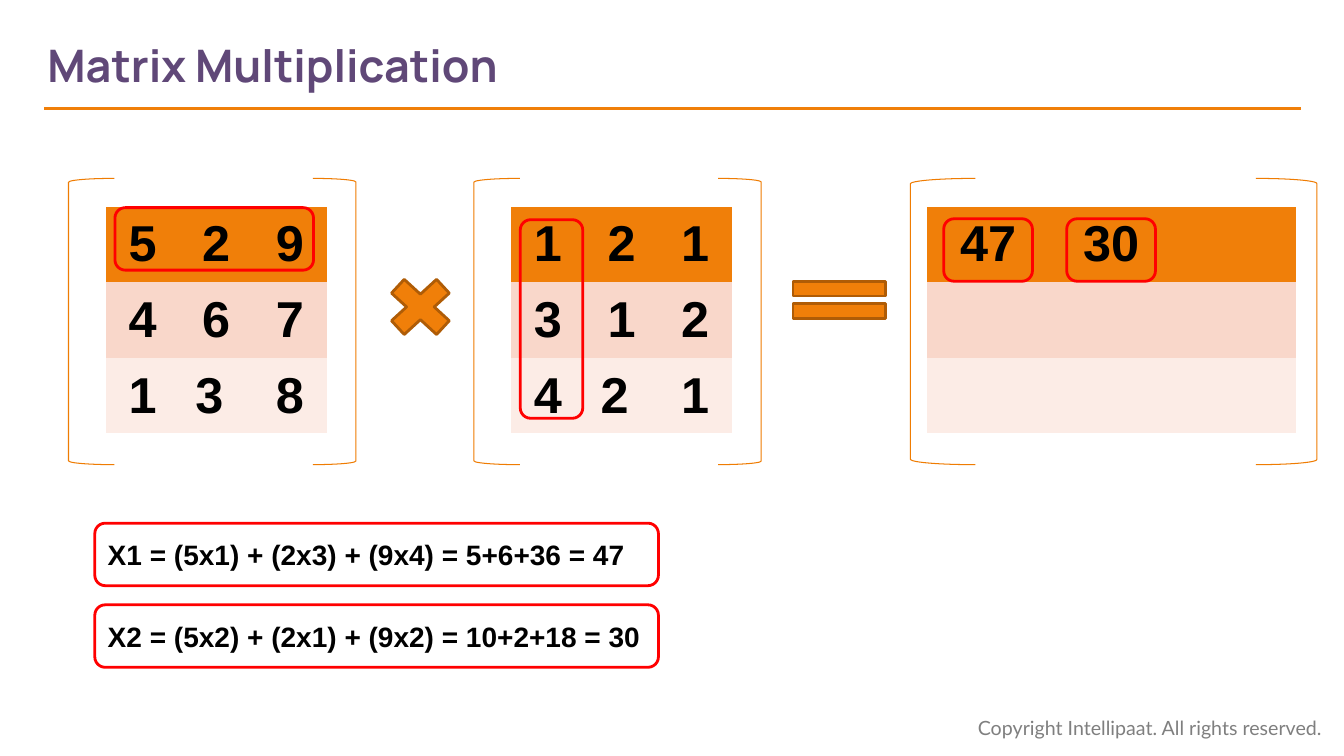
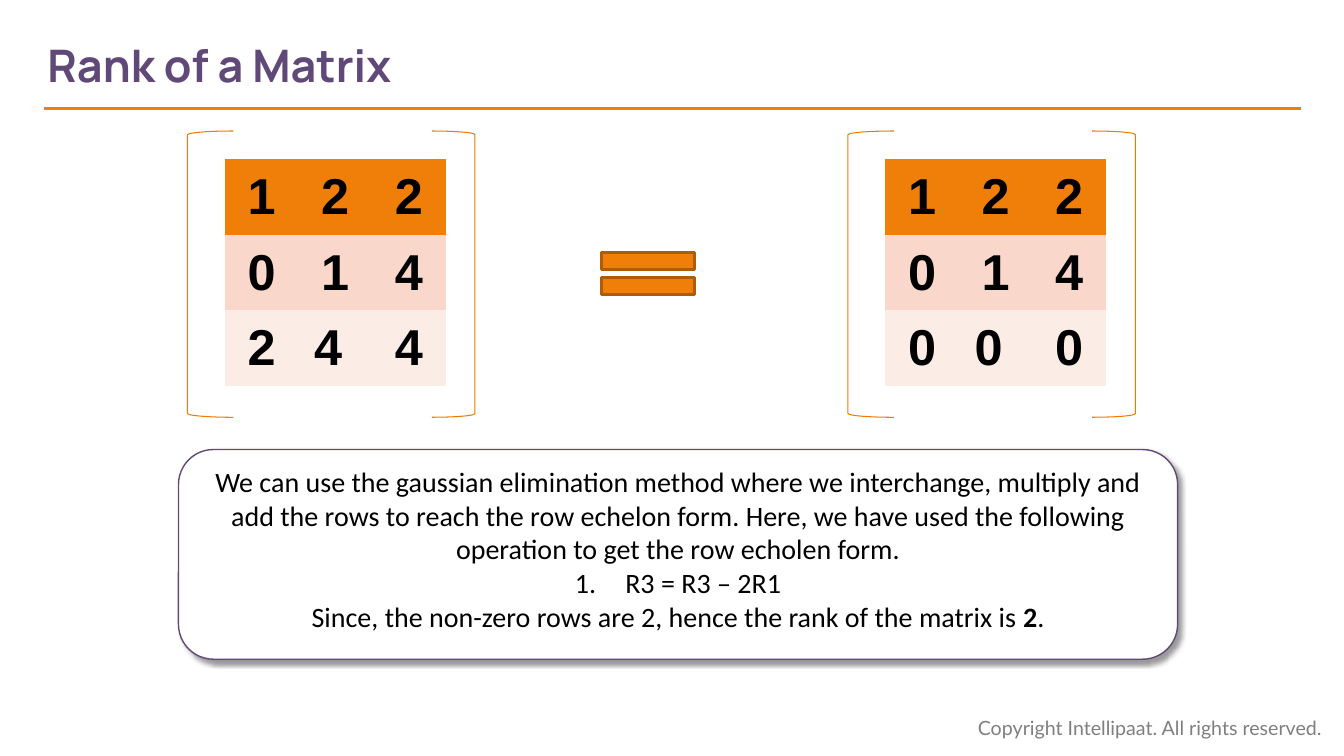
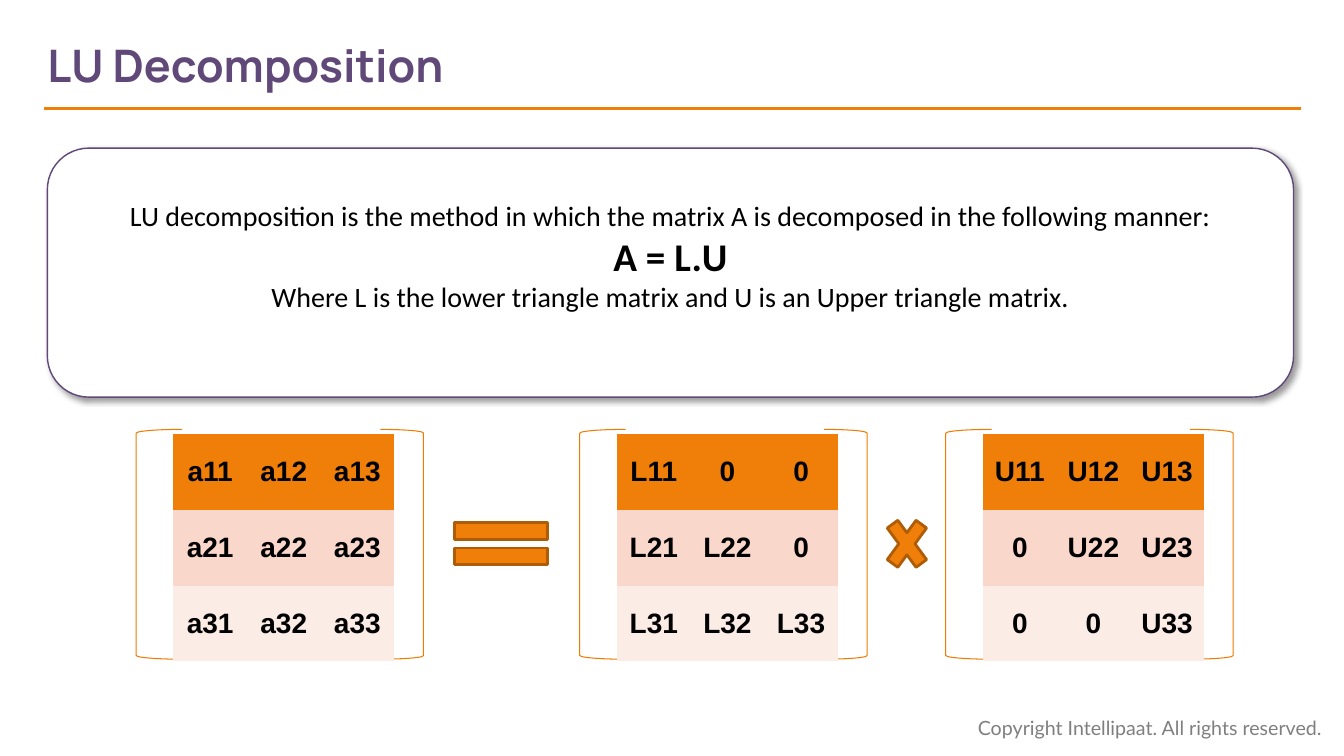
from lxml import etree
from pptx import Presentation
from pptx.dml.color import RGBColor
from pptx.enum.shapes import MSO_CONNECTOR, MSO_SHAPE
from pptx.enum.text import MSO_ANCHOR, MSO_AUTO_SIZE, PP_ALIGN
from pptx.oxml import parse_xml
from pptx.oxml.ns import nsdecls, qn
from pptx.util import Inches, Pt

ORANGE = RGBColor(0xF0, 0x7F, 0x09)
BRACKET_ORANGE = RGBColor(0xEF, 0x7C, 0x02)
DARK_ORANGE = RGBColor(0xAF, 0x5C, 0x06)
PINK = RGBColor(0xF9, 0xD7, 0xCA)
PALE_PINK = RGBColor(0xFC, 0xEC, 0xE6)
PURPLE = RGBColor(0x60, 0x48, 0x78)
RED = RGBColor(0xFF, 0x00, 0x00)
GREY = RGBColor(0x7F, 0x7F, 0x7F)
BLACK = RGBColor(0x00, 0x00, 0x00)
WHITE = RGBColor(0xFF, 0xFF, 0xFF)
ROW_FILLS = (ORANGE, PINK, PALE_PINK)

LEFT_BRACKET = MSO_SHAPE.LEFT_BRACKET
RIGHT_BRACKET = MSO_SHAPE.RIGHT_BRACKET
TIMES = MSO_SHAPE.MATH_MULTIPLY
EQUALS = MSO_SHAPE.MATH_EQUAL
HIGHLIGHT = MSO_SHAPE.FLOWCHART_ALTERNATE_PROCESS
ROUNDED = MSO_SHAPE.ROUNDED_RECTANGLE
STRAIGHT = MSO_CONNECTOR.STRAIGHT
TOP, MIDDLE = MSO_ANCHOR.TOP, MSO_ANCHOR.MIDDLE
LEFT, CENTER = PP_ALIGN.LEFT, PP_ALIGN.CENTER

TITLE_ONLY = 5
NO_TABLE_STYLE = "{2D5ABB26-0587-4C30-8999-92F81FD0307C}"
ROW_H = 0.75
MATRIX_W = 2.85


def inches(*lengths):
    return [Inches(n) for n in lengths]


def set_font(font, name, size, color, bold=False):
    font.name, font.size, font.bold = name, Pt(size), bold
    font.color.rgb = color


def add_shape(slide, kind, box, line, width, fill=None):
    sp = slide.shapes.add_shape(kind, *inches(*box))
    sp.shadow.inherit = False
    sp.line.color.rgb = line
    sp.line.width = Pt(width)
    if fill is None:
        sp.fill.background()
    else:
        sp.fill.solid()
        sp.fill.fore_color.rgb = fill
    return sp


def add_base(prs, title):
    slide = prs.slides.add_slide(prs.slide_layouts[TITLE_ONLY])
    sp = slide.shapes.title
    sp.left, sp.top, sp.width, sp.height = inches(0.47, 0.22, 9.47, 0.84)
    tf = sp.text_frame
    tf.text = title
    tf.auto_size = MSO_AUTO_SIZE.NONE
    tf.vertical_anchor = MIDDLE
    tf.margin_left = 0
    p = tf.paragraphs[0]
    p.alignment = LEFT
    set_font(p.runs[0].font, "Manrope", 32, PURPLE, True)

    rule = slide.shapes.add_connector(STRAIGHT, *inches(0.44, 1.08, 12.9, 1.08))
    rule.line.color.rgb = ORANGE
    rule.line.width = Pt(2.25)
    etree.SubElement(rule._element.spPr, qn("a:effectLst"))

    tf = slide.shapes.add_textbox(*inches(9.6, 7.05, 3.67, 0.34)).text_frame
    tf.word_wrap = True
    tf.text = "Copyright Intellipaat. All rights reserved."
    set_font(tf.paragraphs[0].runs[0].font, "Lato", 14, GREY)
    return slide


def add_matrix(slide, box, rows, size=36, inset=(0.37, 0.28), col_w=0.73):
    x, y, w, h = box
    left_w, right_w = 0.16 * w, 0.15 * w
    for kind, bx, bw in ((LEFT_BRACKET, x, left_w),
                         (RIGHT_BRACKET, x + w - right_w, right_w)):
        add_shape(slide, kind, (bx, y, bw, h), BRACKET_ORANGE, 0.75)

    n_rows, n_cols = len(rows), len(rows[0])
    table = slide.shapes.add_table(n_rows, n_cols, *inches(
        x + inset[0], y + inset[1], n_cols * col_w, n_rows * ROW_H)).table
    table.first_row = table.horz_banding = False
    table._tbl.tblPr.find(qn("a:tableStyleId")).text = NO_TABLE_STYLE
    for col in table.columns:
        col.width = Inches(col_w)
    for row, values, fill in zip(table.rows, rows, ROW_FILLS):
        row.height = Inches(ROW_H)
        for cell, value in zip(row.cells, values):
            cell.fill.solid()
            cell.fill.fore_color.rgb = fill
            cell.vertical_anchor = MIDDLE
            if value:
                cell.text = value
                p = cell.text_frame.paragraphs[0]
                p.alignment = CENTER
                set_font(p.runs[0].font, "Arial", size, BLACK, True)


def add_operator(slide, kind, box):
    add_shape(slide, kind, box, DARK_ORANGE, 2, ORANGE)


def add_highlight(slide, box, text=""):
    sp = add_shape(slide, HIGHLIGHT, box, RED, 2)
    if text:
        tf = sp.text_frame
        tf.text = text
        p = tf.paragraphs[0]
        p.alignment = LEFT
        set_font(p.runs[0].font, "Arial", 20, BLACK, True)


def add_card(slide, box, lines, anchor):
    sp = add_shape(slide, ROUNDED, box, PURPLE, 1, WHITE)
    sp._element.spPr.find(qn("a:effectLst")).append(parse_xml(
        f'<a:outerShdw {nsdecls("a")} blurRad="{Pt(4)}" dist="{Pt(3)}" '
        'dir="2700000" algn="tl" rotWithShape="0"><a:srgbClr val="000000">'
        '<a:alpha val="40000"/></a:srgbClr></a:outerShdw>'))
    tf = sp.text_frame
    tf.word_wrap = True
    tf.vertical_anchor = anchor
    tf.text = "\n".join(lines)
    for p in tf.paragraphs:
        p.alignment = CENTER
        set_font(p.runs[0].font, "Calibri", 20, BLACK)
    return tf


def number_paragraph(p):
    pPr = p._p.get_or_add_pPr()
    pPr.set("marL", str(Inches(0.5)))
    pPr.set("indent", str(-Inches(0.5)))
    etree.SubElement(pPr, qn("a:buAutoNum"), type="arabicPeriod")


def multiplication_slide(prs):
    slide = add_base(prs, "Matrix Multiplication")
    y, h = 1.77, 2.84
    add_matrix(slide, (0.68, y, MATRIX_W, h),
               [("5", "2", "9"), ("4", "6", "7"), ("1", "3 ", "8")])
    add_operator(slide, TIMES, (3.74, 2.65, 0.86, 0.79))
    add_matrix(slide, (4.7, y, MATRIX_W, h),
               [("1", "2", "1"), ("3", "1", "2"), ("4", "2 ", "1")])
    add_operator(slide, EQUALS, (7.7, 2.66, 1.25, 0.63))
    add_matrix(slide, (9.03, y, 4.03, h),
               [("47", "30", ""), ("", "", ""), ("", "", "")],
               inset=(0.16, 0.28), col_w=1.22)
    for box in ((1.14, 2.06, 1.97, 0.62), (5.16, 2.18, 0.62, 1.97),
                (9.36, 2.17, 0.88, 0.62), (10.58, 2.17, 0.88, 0.62)):
        add_highlight(slide, box)
    sums = ("X1 = (5x1) + (2x3) + (9x4) = 5+6+36 = 47",
            "X2 = (5x2) + (2x1) + (9x2) = 10+2+18 = 30")
    for i, text in enumerate(sums):
        add_highlight(slide, (0.94, 5.19 + i * 0.81, 5.59, 0.62), text)


def rank_slide(prs):
    slide = add_base(prs, "Rank of a Matrix")
    y, h = 1.3, 2.84
    add_matrix(slide, (1.86, y, MATRIX_W, h),
               [("1", "2", "2"), ("0", "1", "4"), ("2", "4 ", "4")])
    add_operator(slide, EQUALS, (5.8, 2.36, 1.26, 0.71))
    add_matrix(slide, (8.41, y, MATRIX_W, h),
               [("1", "2", "2"), ("0", "1", "4"), ("0", "0 ", "0")])
    tf = add_card(slide, (1.77, 4.46, 9.91, 2.08), (
        "We can use the gaussian elimination method where we interchange, "
        "multiply and add the rows to reach the row echelon form. Here, we "
        "have used the following operation to get the row echolen form.",
        "R3 = R3 – 2R1",
        "Since, the non-zero rows are 2, hence the rank of the matrix is "), TOP)
    _, operation, conclusion = tf.paragraphs
    number_paragraph(operation)
    for text, bold in (("2", True), (".", False)):
        r = conclusion.add_run()
        r.text = text
        set_font(r.font, "Calibri", 20, BLACK, bold)


def lu_slide(prs):
    slide = add_base(prs, "LU Decomposition")
    tf = add_card(slide, (0.47, 1.47, 12.36, 2.47), (
        "LU decomposition is the method in which the matrix A is decomposed "
        "in the following manner:",
        "A = L.U",
        "Where L is the lower triangle matrix and U is an Upper triangle "
        "matrix."), MIDDLE)
    tf.margin_bottom = Inches(0.38)
    set_font(tf.paragraphs[1].runs[0].font, "Calibri", 28, BLACK, True)

    matrices = (
        (1.35, [("a11", "a12", "a13"), ("a21", "a22", "a23"),
                ("a31", "a32", "a33")]),
        (5.75, [("L11", "0", "0"), ("L21", "L22", "0"),
                ("L31", "L32", "L33")]),
        (9.38, [("U11", "U12", "U13"), ("0", "U22", "U23"),
                ("0", "0", "U33")]))
    for x, rows in matrices:
        add_matrix(slide, (x, 4.26, MATRIX_W, 2.28), rows, 20, (0.37, 0.05))
    add_operator(slide, EQUALS, (4.34, 5.04, 1.26, 0.71))
    add_operator(slide, TIMES, (8.72, 5.02, 0.55, 0.75))


def main():
    prs = Presentation()
    prs.slide_width, prs.slide_height = inches(13.33, 7.5)
    multiplication_slide(prs)
    rank_slide(prs)
    lu_slide(prs)
    prs.save("out.pptx")


if __name__ == "__main__":
    main()
